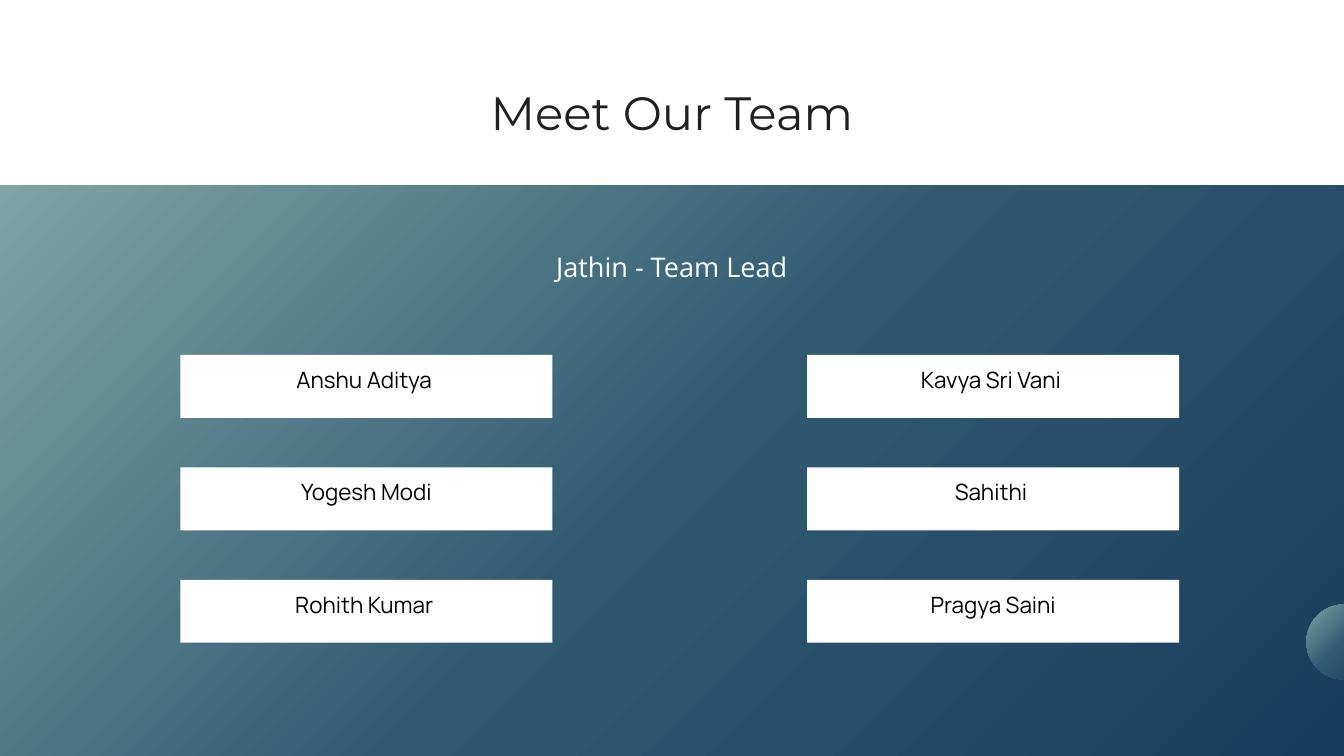
from copy import deepcopy

from pptx import Presentation
from pptx.dml.color import RGBColor
from pptx.enum.shapes import MSO_SHAPE
from pptx.enum.text import MSO_ANCHOR, PP_ALIGN
from pptx.oxml.ns import qn
from pptx.util import Cm, Pt

RECT, OVAL = MSO_SHAPE.RECTANGLE, MSO_SHAPE.OVAL
CENTER, MIDDLE, TOP = PP_ALIGN.CENTER, MSO_ANCHOR.MIDDLE, MSO_ANCHOR.TOP

WHITE = RGBColor(0xFF, 0xFF, 0xFF)
BLACK = RGBColor(0x00, 0x00, 0x00)
INK = RGBColor(0x1F, 0x20, 0x20)
SAGE = RGBColor(0x7F, 0xA4, 0xA4)
TEAL = RGBColor(0x30, 0x5A, 0x72)
NAVY = RGBColor(0x1A, 0x3C, 0x5C)

TITLE = {"name": "Montserrat", "size": Pt(50)}
LEAD = {"name": "Open Sans", "size": Pt(29)}
NAME = {"name": "Manrope", "size": Pt(24)}

TEAM = [
    ["Anshu Aditya ", "Yogesh Modi", "Rohith Kumar "],
    ["Kavya Sri Vani ", "Sahithi ", "Pragya Saini"],
]


def shape(slide, kind, box):
    """Add a preset shape with no line and no shadow."""
    item = slide.shapes.add_shape(kind, *map(Cm, box))
    item.shadow.inherit = False
    item.line.fill.background()
    return item


def blend(slide, kind, box):
    """Add a shape filled from sage through teal to navy."""
    item = shape(slide, kind, box)
    item.fill.gradient()
    item.fill.gradient_angle = 315
    stops = item.element.spPr.find(qn("a:gradFill")).find(qn("a:gsLst"))
    stops.append(deepcopy(stops[0]))
    for stop, color, place in zip(item.fill.gradient_stops, (SAGE, TEAL, NAVY), (0, 0.5, 1)):
        stop.color.rgb = color
        stop.position = place


def label(slide, box, text, style, color, lead, inset=0, anchor=TOP):
    """Add one centred line of text."""
    frame = slide.shapes.add_textbox(*map(Cm, box)).text_frame
    layout = {"word_wrap": True, "vertical_anchor": anchor}
    for side in ("left", "top", "right", "bottom"):
        layout[f"margin_{side}"] = Cm(inset)
    for key, value in layout.items():
        setattr(frame, key, value)
    line = frame.paragraphs[0]
    line.alignment = CENTER
    line.line_spacing = Pt(lead)
    run = line.add_run()
    run.text = text
    for key, value in style.items():
        setattr(run.font, key, value)
    run.font.color.rgb = color


def header(slide, box):
    """Place the title in the white band."""
    left, top, width, height = box
    label(slide, (left + 15.49, top + 3.33, width - 30.98, 1.98),
          "Meet Our Team", TITLE, INK, 56)


def card(slide, box, name):
    """Draw a white card with a name set slightly above its middle."""
    left, top, width, height = box
    item = shape(slide, RECT, box)
    item.fill.solid()
    item.fill.fore_color.rgb = WHITE
    label(slide, (left, top - 0.7, width, height + 0.7), name, NAME, BLACK, 33.6, 0.15, MIDDLE)


def team(slide, box):
    """Draw the panel, the lead and the grid of cards."""
    left, top, width, height = box
    blend(slide, RECT, box)
    blend(slide, OVAL, (left + width - 1.42, top + 15.85, 2.84, 2.84))
    label(slide, (left + 20.3, top + 2.26, 10.19, 1.37), "Jathin - Team Lead", LEAD, WHITE, 40.6)
    for col, names in enumerate(TEAM):
        for row, name in enumerate(names):
            spot = (left + 6.82 + col * 23.69, top + 6.42 + row * 4.25)
            card(slide, (*spot, 14.06, 2.38), name)


def main():
    """Build and save the slide."""
    deck = Presentation()
    deck.slide_width, deck.slide_height = Cm(50.8), Cm(28.58)
    slide = deck.slides.add_slide(deck.slide_layouts[6])
    header(slide, (0, 0, 50.8, 7))
    team(slide, (0, 7, 50.8, 21.58))
    deck.save("out.pptx")


if __name__ == "__main__":
    main()
